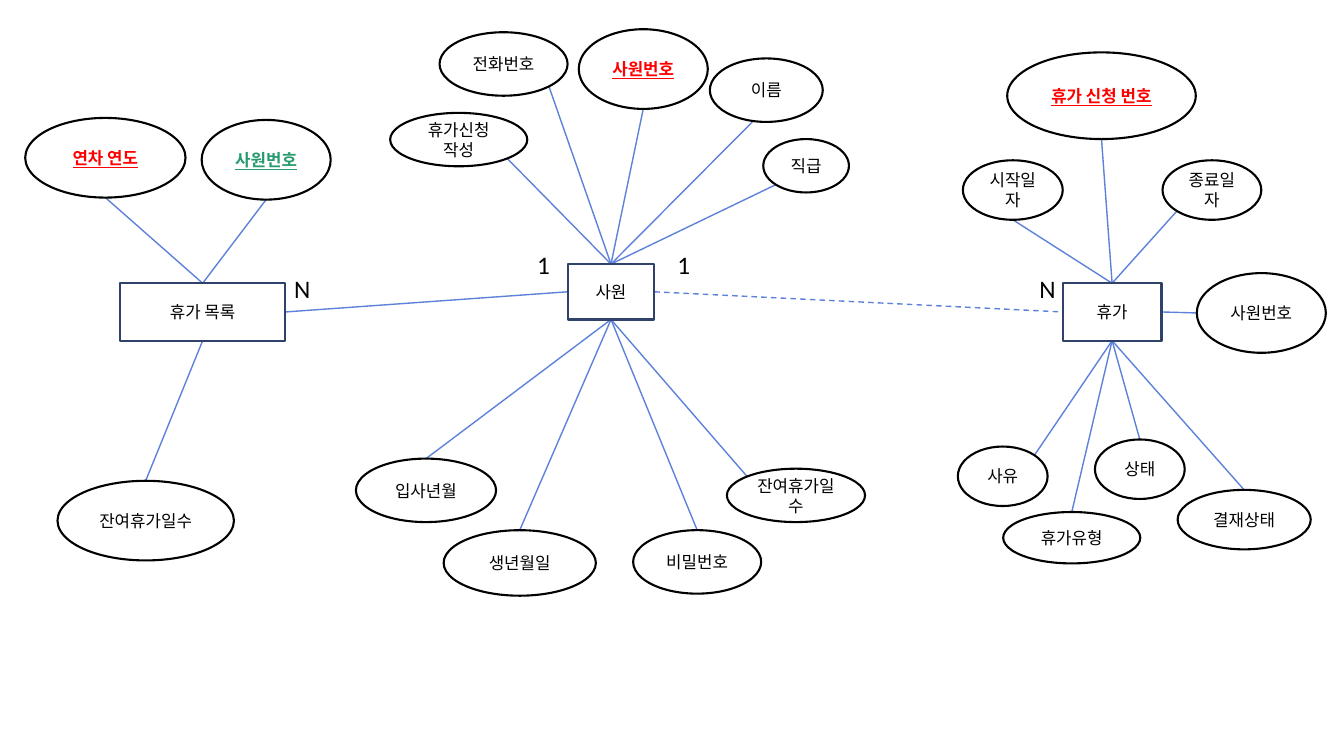
from dataclasses import dataclass

from lxml.etree import SubElement
from pptx import Presentation
from pptx.dml.color import RGBColor
from pptx.enum.dml import MSO_LINE_DASH_STYLE as Dash
from pptx.enum.shapes import MSO_CONNECTOR as Connector, MSO_SHAPE as Shape
from pptx.enum.text import MSO_ANCHOR as Anchor, MSO_AUTO_SIZE as AutoSize, PP_ALIGN as Align
from pptx.oxml.ns import qn
from pptx.util import Pt

PX = 9144  # EMU per px, 100 px to the inch


@dataclass(frozen=True)
class Theme:
    font: str = "Calibri"
    label_size: int = 12
    mark_size: int = 18
    fill: str = "FFFFFF"
    text: str = "000000"
    primary_key: str = "FF0000"
    foreign_key: str = "289B6E"
    attribute_line: str = "000000"
    entity_line: str = "30416A"
    link: str = "5E81D9"
    outline_width: float = 1.5
    link_width: float = 1


THEME = Theme()

# Where a line may meet a box, as shares of its width and height
NEAR, FAR = 0.146, 0.854
SITES = {
    "top": (0.5, 0), "bottom": (0.5, 1), "left": (0, 0.5), "right": (1, 0.5),
    "top left": (NEAR, NEAR), "top right": (FAR, NEAR),
    "bottom left": (NEAR, FAR), "bottom right": (FAR, FAR),
}

# Text looks: colour and whether the label is a key
PLAIN = (THEME.text, False)
PRIMARY = (THEME.primary_key, True)
FOREIGN = (THEME.foreign_key, True)

# Entity: (box, attributes); attribute: (label, box, its site, entity site, look)
ENTITIES = {
    "휴가 목록": ((119, 281, 164, 57), [
        ("연차 연도", (25, 117, 159, 79), "bottom", "top", PRIMARY),
        ("사원번호", (200, 119, 128, 79), "bottom", "top", FOREIGN),
        ("잔여휴가일수", (57, 477, 175, 79), "top", "bottom", PLAIN),
    ]),
    "사원": ((563, 262, 86, 55), [
        ("사원번호", (574, 29, 128, 79), "bottom", "top", PRIMARY),
        ("전화번호", (436, 32, 127, 63), "bottom right", "top", PLAIN),
        ("휴가신청\n작성", (387, 112, 136, 53), "bottom right", "top", PLAIN),
        ("이름", (704, 58, 112, 63), "top right", "top", PLAIN),
        ("직급", (757, 138, 85, 53), "bottom left", "top", PLAIN),
        ("입사년월", (353, 455, 139, 63), "top", "bottom", PLAIN),
        ("생년월일", (440, 526, 151, 65), "top", "bottom", PLAIN),
        ("비밀번호", (628, 526, 127, 63), "top", "bottom", PLAIN),
        ("잔여휴가일수", (721, 465, 137, 53), "top left", "bottom", PLAIN),
    ]),
    "휴가": ((1054, 281, 98, 57), [
        ("휴가 신청 번호", (999, 52, 187, 86), "bottom", "top", PRIMARY),
        ("시작일자", (955, 159, 99, 59), "bottom", "top", PLAIN),
        ("종료일자", (1153, 159, 98, 59), "bottom left", "top", PLAIN),
        ("사원번호", (1187, 271, 128, 79), "left", "right", PLAIN),
        ("사유", (950, 443, 89, 59), "top right", "bottom", PLAIN),
        ("휴가유형", (995, 508, 136, 51), "top", "bottom", PLAIN),
        ("상태", (1086, 436, 89, 59), "top", "bottom", PLAIN),
        ("결재상태", (1168, 486, 132, 59), "top", "bottom", PLAIN),
    ]),
}

# Relations run from the right of one entity to the left of the next
RELATIONS = [("휴가 목록", "사원", Dash.SOLID), ("사원", "휴가", Dash.DASH)]

# Cardinality marks: (text, box, wrap)
MARKS = [
    ("N", (282, 266, 26, 40), True),
    ("1", (523, 242, 36, 39), False),
    ("1", (662, 242, 36, 39), False),
    ("N", (1021, 266, 26, 40), True),
]


def emu(values):
    return [round(value * PX) for value in values]


def site_point(box, site):
    left, top, width, height = box
    across, down = SITES[site]
    return left + width * across, top + height * down


def apply_format(target, values):
    for name, value in values.items():
        setattr(target, name, value)


def write_text(frame, text, size, look, align):
    color, is_key = look
    frame.text = text
    for paragraph in frame.paragraphs:
        paragraph.alignment = align
        font = paragraph.runs[0].font
        font.color.rgb = RGBColor.from_string(color)
        values = {"name": THEME.font, "size": Pt(size)}
        if is_key:
            values.update(bold=True, underline=True)
        apply_format(font, values)


def add_node(slide, kind, label, box, line_color, look=PLAIN):
    shape = slide.shapes.add_shape(kind, *emu(box))
    shape.shadow.inherit = False
    shape.fill.solid()
    shape.fill.fore_color.rgb = RGBColor.from_string(THEME.fill)
    shape.line.color.rgb = RGBColor.from_string(line_color)
    shape.line.width = Pt(THEME.outline_width)
    apply_format(shape.text_frame, {"word_wrap": True, "vertical_anchor": Anchor.MIDDLE})
    write_text(shape.text_frame, label, THEME.label_size, look, Align.CENTER)


def add_link(slide, start, end, dash=Dash.SOLID):
    connector = slide.shapes.add_connector(Connector.STRAIGHT, *emu(start + end))
    connector.line.color.rgb = RGBColor.from_string(THEME.link)
    apply_format(connector.line, {"width": Pt(THEME.link_width), "dash_style": dash})
    SubElement(connector._element.spPr, qn("a:effectLst"))


def add_mark(slide, text, box, wrap):
    frame = slide.shapes.add_textbox(*emu(box)).text_frame
    apply_format(frame, {"word_wrap": wrap, "auto_size": AutoSize.SHAPE_TO_FIT_TEXT})
    write_text(frame, text, THEME.mark_size, PLAIN, Align.LEFT)


def main():
    presentation = Presentation()
    apply_format(presentation, {"slide_width": 1333 * PX, "slide_height": 750 * PX})
    slide = presentation.slides.add_slide(presentation.slide_layouts[6])

    # Lines lie beneath the nodes
    for entity_box, attributes in ENTITIES.values():
        for _, box, site, entity_site, _ in attributes:
            add_link(slide, site_point(entity_box, entity_site), site_point(box, site))
    for source, target, dash in RELATIONS:
        start = site_point(ENTITIES[source][0], "right")
        add_link(slide, start, site_point(ENTITIES[target][0], "left"), dash)

    # Entities and their attributes
    for name, (entity_box, attributes) in ENTITIES.items():
        add_node(slide, Shape.RECTANGLE, name, entity_box, THEME.entity_line)
        for label, box, _, _, look in attributes:
            add_node(slide, Shape.OVAL, label, box, THEME.attribute_line, look)

    # Cardinality
    for text, box, wrap in MARKS:
        add_mark(slide, text, box, wrap)

    presentation.save("out.pptx")


if __name__ == "__main__":
    main()
